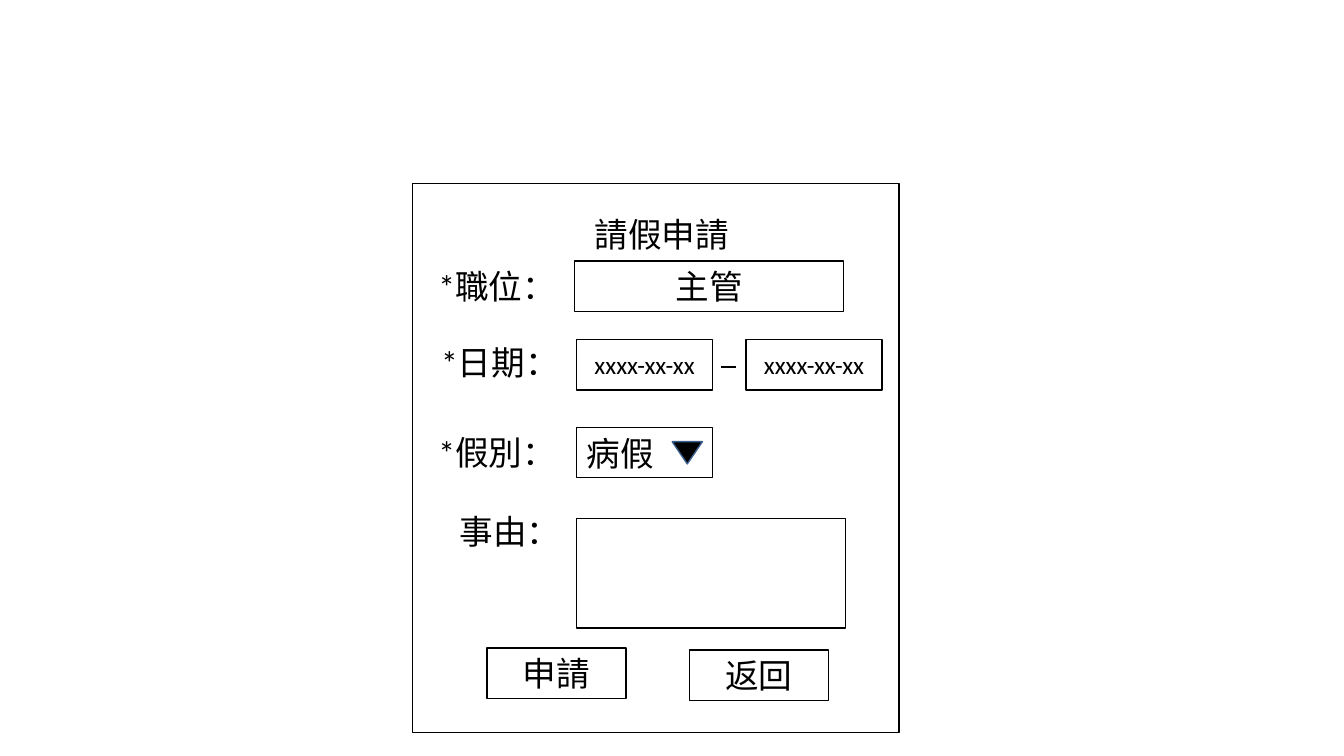
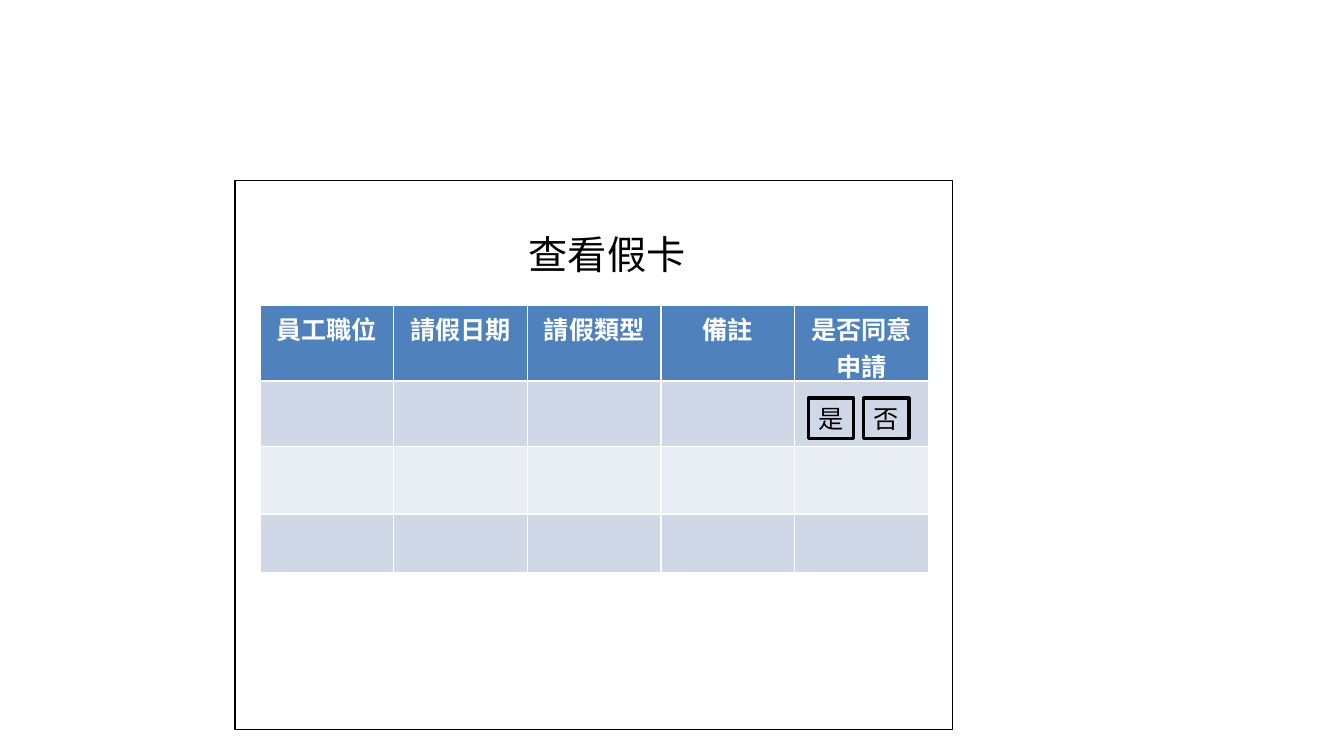
"""Build two wireframe slides: a leave request form and a leave card review table."""
from dataclasses import dataclass

from pptx import Presentation
from pptx.dml.color import RGBColor
from pptx.enum.shapes import MSO_CONNECTOR, MSO_SHAPE
from pptx.enum.text import MSO_ANCHOR, PP_ALIGN
from pptx.oxml import parse_xml
from pptx.oxml.ns import nsdecls
from pptx.util import Cm, Pt

RECT, TRIANGLE = MSO_SHAPE.RECTANGLE, MSO_SHAPE.ISOSCELES_TRIANGLE
LEFT, CENTER = PP_ALIGN.LEFT, PP_ALIGN.CENTER
TOP, MIDDLE = MSO_ANCHOR.TOP, MSO_ANCHOR.MIDDLE
STRAIGHT = MSO_CONNECTOR.STRAIGHT


@dataclass(frozen=True)
class Theme:
    font: str = "Calibri"
    ink: str = "000000"
    paper: str = "FFFFFF"
    arrow_edge: str = "3A5F8C"
    header: str = "4F81BD"
    bands: tuple = ("D0D8E8", "E9EDF4")
    heading: int = 28
    body: int = 24
    small: int = 18
    thin: float = 1
    rule: float = 1.5
    thick: float = 2.25


T = Theme()

FORM_PANEL = (10.39, 4.62, 12.27, 13.84)
FORM_TITLE = ("請假申請", (12.04, 5.26, 9.27, 1.27))
LABELS = [
    ("*職位：", 10.8, 6.58),
    ("*日期：", 10.87, 8.48),
    ("*假別：", 10.8, 10.77),
    ("事由：", 11.33, 12.75),
]
LABEL_SIZE = (3.15, 1.27)
FIELDS = [
    ("主管", (14.48, 6.58, 6.78, 1.27), T.body, CENTER),
    ("xxxx-xx-xx", (14.53, 8.56, 3.43, 1.27), T.small, CENTER),
    ("xxxx-xx-xx", (18.8, 8.56, 3.43, 1.27), T.small, CENTER),
    ("病假", (14.53, 10.77, 3.43, 1.27), T.body, LEFT),
    ("", (14.53, 13.06, 6.78, 2.77), T.body, LEFT),
    ("申請", (12.27, 16.33, 3.51, 1.27), T.body, CENTER),
    ("返回", (17.37, 16.38, 3.51, 1.27), T.body, CENTER),
]
DATE_DASH = (18.16, 9.25, 18.54, 9.25)
DROPDOWN_ARROW = (16.94, 11.13, 0.76, 0.56)

REVIEW_PANEL = (5.92, 4.55, 18.08, 13.84)
REVIEW_TITLE = ("查看假卡", (9.75, 5.69, 11.1, 1.63))
HEADERS = ["員工職位", "請假日期", "請假類型", "備註", "是否同意\n申請"]
TABLE_AT = (6.55, 7.7)
COLUMN_WIDTH = 3.37
ROW_HEIGHTS = [1.9, 1.65, 1.7, 1.47]
CHOICES = ["是", "否"]
CHOICE_BOX, CHOICE_STEP = (20.37, 10.03, 1.14, 1.02), 1.4


def rgb(value):
    return RGBColor.from_string(value)


def cm(values):
    return [Cm(v) for v in values]


def write(tf, text, size, align=LEFT, color=T.ink, bold=False):
    tf.text = text
    for p in tf.paragraphs:
        p.alignment = align
        p.font.name, p.font.size, p.font.bold = T.font, Pt(size), bold
        p.font.color.rgb = rgb(color)


def add_text(s, text, at, size, align=LEFT):
    tf = s.shapes.add_textbox(*cm(at)).text_frame
    tf.word_wrap = True
    write(tf, text, size, align)


def add_box(s, at, text="", size=T.body, align=LEFT, anchor=MIDDLE, fill=None,
            line=T.ink, width=T.thin, kind=RECT):
    sp = s.shapes.add_shape(kind, *cm(at))
    sp.shadow.inherit = False
    if fill:
        sp.fill.solid()
        sp.fill.fore_color.rgb = rgb(fill)
    else:
        sp.fill.background()
    sp.line.color.rgb, sp.line.width = rgb(line), Pt(width)
    if text:
        sp.text_frame.vertical_anchor = anchor
        write(sp.text_frame, text, size, align)
    return sp


def add_rule(s, ends):
    line = s.shapes.add_connector(STRAIGHT, *cm(ends))
    line.line.color.rgb, line.line.width = rgb(T.ink), Pt(T.rule)
    line._element.spPr.append(parse_xml(f"<a:effectLst {nsdecls('a')}/>"))


def add_review_table(s):
    size = (COLUMN_WIDTH * len(HEADERS), sum(ROW_HEIGHTS))
    table = s.shapes.add_table(len(ROW_HEIGHTS), len(HEADERS), *cm(TABLE_AT + size)).table
    for column in table.columns:
        column.width = Cm(COLUMN_WIDTH)
    for i, height in enumerate(ROW_HEIGHTS):
        table.rows[i].height = Cm(height)
        for cell in table.rows[i].cells:
            cell.fill.solid()
            cell.fill.fore_color.rgb = rgb(T.bands[(i - 1) % 2] if i else T.header)
    for cell, text in zip(table.rows[0].cells, HEADERS):
        write(cell.text_frame, text, T.small, CENTER, T.paper, True)


def build_form(s):
    add_box(s, FORM_PANEL)
    title, at = FORM_TITLE
    add_text(s, title, at, T.body, CENTER)
    for text, left, top in LABELS:
        add_text(s, text, (left, top) + LABEL_SIZE, T.body)
    for text, at, size, align in FIELDS:
        add_box(s, at, text, size, align, fill=T.paper)
    add_rule(s, DATE_DASH)
    arrow = add_box(s, DROPDOWN_ARROW, fill=T.ink, line=T.arrow_edge, kind=TRIANGLE)
    arrow.rotation = 180


def build_review(s):
    add_box(s, REVIEW_PANEL)
    title, at = REVIEW_TITLE
    add_text(s, title, at, T.heading, CENTER)
    add_review_table(s)
    left, *rest = CHOICE_BOX
    for i, text in enumerate(CHOICES):
        add_box(s, (left + i * CHOICE_STEP, *rest), text, T.small, anchor=TOP, width=T.thick)


def main():
    prs = Presentation()
    prs.slide_width, prs.slide_height = Cm(33.87), Cm(19.05)
    for build in (build_form, build_review):
        build(prs.slides.add_slide(prs.slide_layouts[6]))
    prs.save("out.pptx")


if __name__ == "__main__":
    main()
